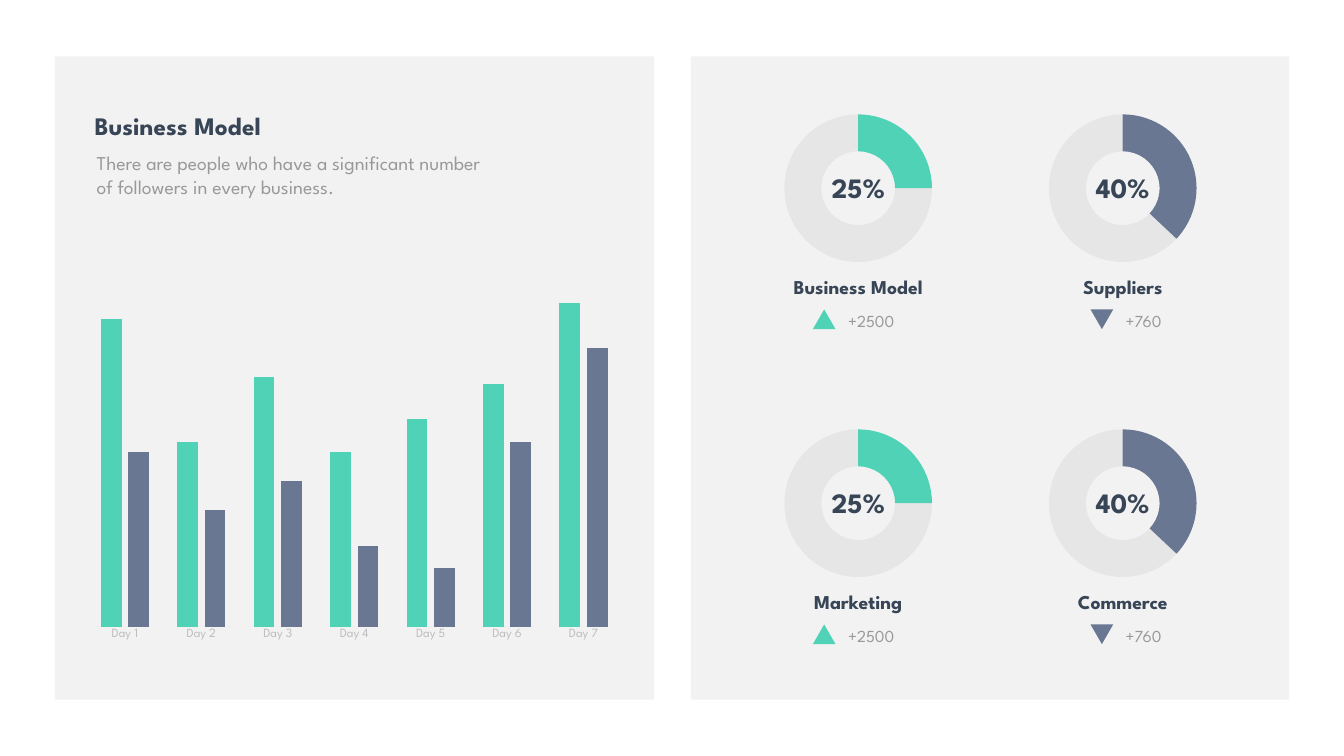
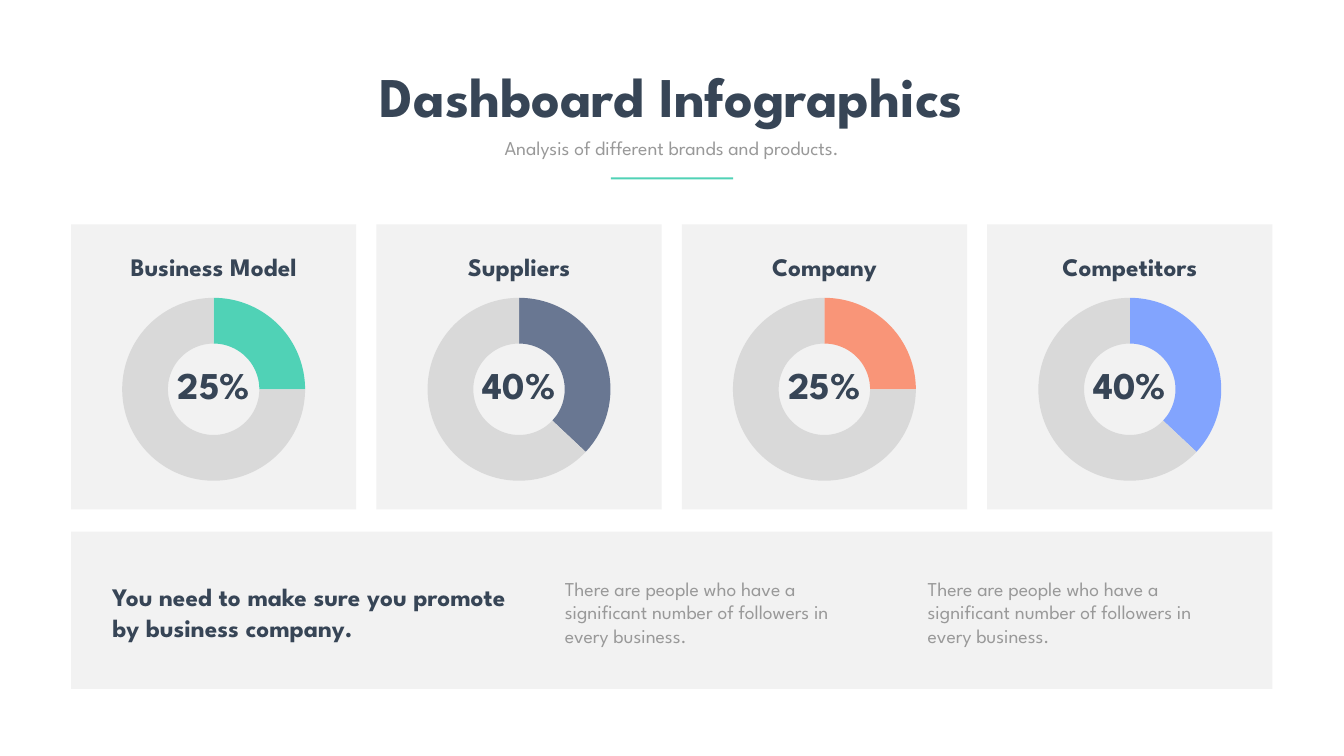
from dataclasses import dataclass

from lxml import etree
from pptx import Presentation
from pptx.chart.data import CategoryChartData
from pptx.dml.color import RGBColor
from pptx.enum.chart import XL_CHART_TYPE as CHART, XL_TICK_MARK as TICK
from pptx.enum.shapes import MSO_SHAPE as SHAPE
from pptx.enum.text import MSO_AUTO_SIZE as FIT, PP_ALIGN as ALIGN
from pptx.oxml import parse_xml
from pptx.oxml.ns import nsdecls, qn
from pptx.util import Inches, Pt

COLORS = {
    "panel": "F2F2F2", "dark": "374556", "gray": "999999", "axis_text": "BDBDBD",
    "axis_line": "F0F0F0", "green": "50D2B6", "slate": "697792", "coral": "F99578",
    "blue": "82A4FE", "ring": "D9D9D9", "ring_tint": "808080",
}
FONT = "League Spartan"
PEOPLE = "There are people who have a significant number of followers in every business."


@dataclass
class GaugeStyle:
    width: float
    height: float
    label_drop: float
    label_height: float
    label_size: int
    ring: str
    ring_alpha: int = 100


SMALL = GaugeStyle(3.32, 3.21, 1.2, 0.77, 40, "ring_tint", 10)
LARGE = GaugeStyle(4.03, 3.91, 1.36, 1.01, 54, "ring")
RING_MARGIN = 0.14


def rgb(name):
    return RGBColor.from_string(COLORS[name])


def box(*lengths):
    return [Inches(v) for v in lengths]


def set_fill(fill, color, alpha=100):
    fill.solid()
    fill.fore_color.rgb = rgb(color)
    if alpha < 100:
        clr = fill._xPr.find(f".//{qn('a:srgbClr')}")
        etree.SubElement(clr, qn("a:alpha")).set("val", str(alpha * 1000))


def add_shape(s, kind, x, y, w, h, color, rotation=0):
    sp = s.shapes.add_shape(kind, *box(x, y, w, h))
    sp.shadow.inherit = False
    set_fill(sp.fill, color)
    sp.line.fill.background()
    sp.rotation = rotation


def add_panel(s, x, y, w, h):
    add_shape(s, SHAPE.RECTANGLE, x, y, w, h, "panel")


def add_text(s, x, y, w, h, text, size, heading=False, align=ALIGN.LEFT,
             spacing=None, wrap=True):
    tf = s.shapes.add_textbox(*box(x, y, w, h)).text_frame
    tf.word_wrap = wrap
    tf.auto_size = FIT.SHAPE_TO_FIT_TEXT
    p = tf.paragraphs[0]
    p.text = text
    p.alignment = align
    if spacing:
        p.line_spacing = Pt(spacing)
    p.font.name = FONT
    p.font.size = Pt(size)
    p.font.bold = heading
    p.font.color.rgb = rgb("dark" if heading else "gray")


def add_centered(s, cx, y, w, h, text, size, heading=True, **options):
    add_text(s, cx - w / 2, y, w, h, text, size, heading, ALIGN.CENTER, **options)


def set_font(font, name, size, color):
    font.name = name
    font.size = Pt(size)
    font.color.rgb = rgb(color)


def set_plot_layout(chart, x, y, w, h):
    """Fix the inner plot area, in fractions of the chart."""
    area = chart._chartSpace.chart.plotArea
    for old in area.findall(qn("c:layout")):
        area.remove(old)
    values = "".join(f'<c:{tag} val="{v:.4f}"/>'
                     for tag, v in zip("xywh", (x, y, w, h)))
    area.insert(0, parse_xml(
        f'<c:layout {nsdecls("c")}><c:manualLayout><c:layoutTarget val="inner"/>'
        f'<c:xMode val="edge"/><c:yMode val="edge"/>{values}'
        '</c:manualLayout></c:layout>'))


def add_chart(s, kind, x, y, w, h, categories, series, font, size):
    data = CategoryChartData()
    data.categories = categories
    for i, values in enumerate(series, 1):
        data.add_series(f"Series {i}", values)
    chart = s.shapes.add_chart(kind, *box(x, y, w, h), data).chart
    chart.has_legend = False
    chart.has_title = False
    set_font(chart.font, font, size, "gray")
    return chart


def add_day_columns(s):
    days = [f"Day {n}" for n in range(1, 8)]
    series = [(95, 57, 77, 54, 64, 75, 100), (54, 36, 45, 25, 18, 57, 86)]
    chart = add_chart(s, CHART.COLUMN_CLUSTERED, 1.5, 5.41, 11.06, 7.47,
                      days, series, FONT, 18)
    set_plot_layout(chart, 0.02, 0.08, 0.96, 0.86)
    plot = chart.plots[0]
    plot.vary_by_categories = False
    plot.gap_width, plot.overlap = 136, -32
    for ser, color in zip(plot.series, ("green", "slate")):
        set_fill(ser.format.fill, color)
    axis = chart.category_axis
    axis.major_tick_mark = axis.minor_tick_mark = TICK.NONE
    set_font(axis.tick_labels.font, FONT, 18, "axis_text")
    axis.format.line.color.rgb = rgb("axis_line")
    axis.format.line.width = Pt(0.75)
    axis = chart.value_axis
    axis.minimum_scale, axis.maximum_scale = 0, 100
    axis.has_major_gridlines = False
    axis.visible = False


def add_gauge(s, style, cx, y, value, label, color):
    w, h = style.width, style.height
    chart = add_chart(s, CHART.DOUGHNUT, cx - w / 2, y, w, h,
                      ["1", "2"], [(value, 100 - value)], "Calibri", 10)
    ring = h - 2 * RING_MARGIN
    set_plot_layout(chart, (1 - ring / w) / 2, RING_MARGIN / h, ring / w, ring / h)
    plot = chart.plots[0]
    plot._element.find(qn("c:holeSize")).set("val", "80")
    points = plot.series[0].points
    slices = [(color, 100), (style.ring, style.ring_alpha)]
    for i, (fill, alpha) in enumerate(slices):
        set_fill(points[i].format.fill, fill, alpha)
        points[i].format.line.fill.background()
    add_centered(s, cx, y + style.label_drop, 3.13, style.label_height,
                 label, style.label_size)


def add_metric(s, cx, y, name, value, label, change, color, arrow_x, rotation):
    """Gauge with its name and an up or down arrow beside the change."""
    add_gauge(s, SMALL, cx, y, value, label, color)
    add_centered(s, cx, y + 3.18, 3.06, 0.62, name, 28, spacing=40.8)
    add_shape(s, SHAPE.ISOSCELES_TRIANGLE, arrow_x, y + 4.01, 0.45, 0.39, color, rotation)
    add_text(s, arrow_x + 0.6, y + 3.99, 1.2, 0.5, change, 24)


def build_business_model(s):
    add_panel(s, 1.09, 1.12, 11.89, 12.76)
    add_panel(s, 13.71, 1.12, 11.87, 12.76)
    add_day_columns(s)
    add_text(s, 1.82, 2.95, 8.14, 1.04, PEOPLE, 28)
    add_text(s, 1.78, 2.13, 4.49, 0.71, "Business Model", 36, True)
    rows = [("Business Model", "Suppliers"), ("Marketing", "Commerce")]
    for i, (rising, falling) in enumerate(rows):
        y = 2.13 + 6.25 * i
        add_metric(s, 17.03, y, rising, 25, "25%", "+2500", "green", 16.13, 0)
        add_metric(s, 22.28, y, falling, 37, "40%", "+760", "slate", 21.64, 180)


def build_dashboard(s):
    add_centered(s, 13.33, 1.17, 13.27, 1.45, "Dashboard Infographics", 80, wrap=False)
    add_centered(s, 13.33, 2.65, 9.56, 0.57,
                 "Analysis of different brands and products.", 28, False)
    add_shape(s, SHAPE.RECTANGLE, 12.12, 3.52, 2.43, 0.04, "green")
    cards = [
        ("Business Model", 25, "25%", "green"),
        ("Suppliers", 37, "40%", "slate"),
        ("Company", 25, "25%", "coral"),
        ("Competitors", 37, "40%", "blue"),
    ]
    side, gap = 5.66, 0.4
    for i, (name, value, label, color) in enumerate(cards):
        x = 1.41 + i * (side + gap)
        cx = x + side / 2
        add_panel(s, x, 4.45, side, side)
        add_gauge(s, LARGE, cx, 5.77, value, label, color)
        add_centered(s, cx, 4.93, 4.26, 0.71, name, 36)
    add_panel(s, 1.41, 10.55, 23.84, 3.12)
    add_text(s, 2.13, 11.49, 8.49, 1.31,
             "You need to make sure you promote by business company.", 36, True)
    for x in (11.11, 18.31):
        add_text(s, x, 11.39, 6.25, 1.51, PEOPLE, 28)


def main():
    prs = Presentation()
    prs.slide_width, prs.slide_height = box(26.67, 15)
    for build in (build_business_model, build_dashboard):
        build(prs.slides.add_slide(prs.slide_layouts[6]))
    prs.save("out.pptx")


if __name__ == "__main__":
    main()
